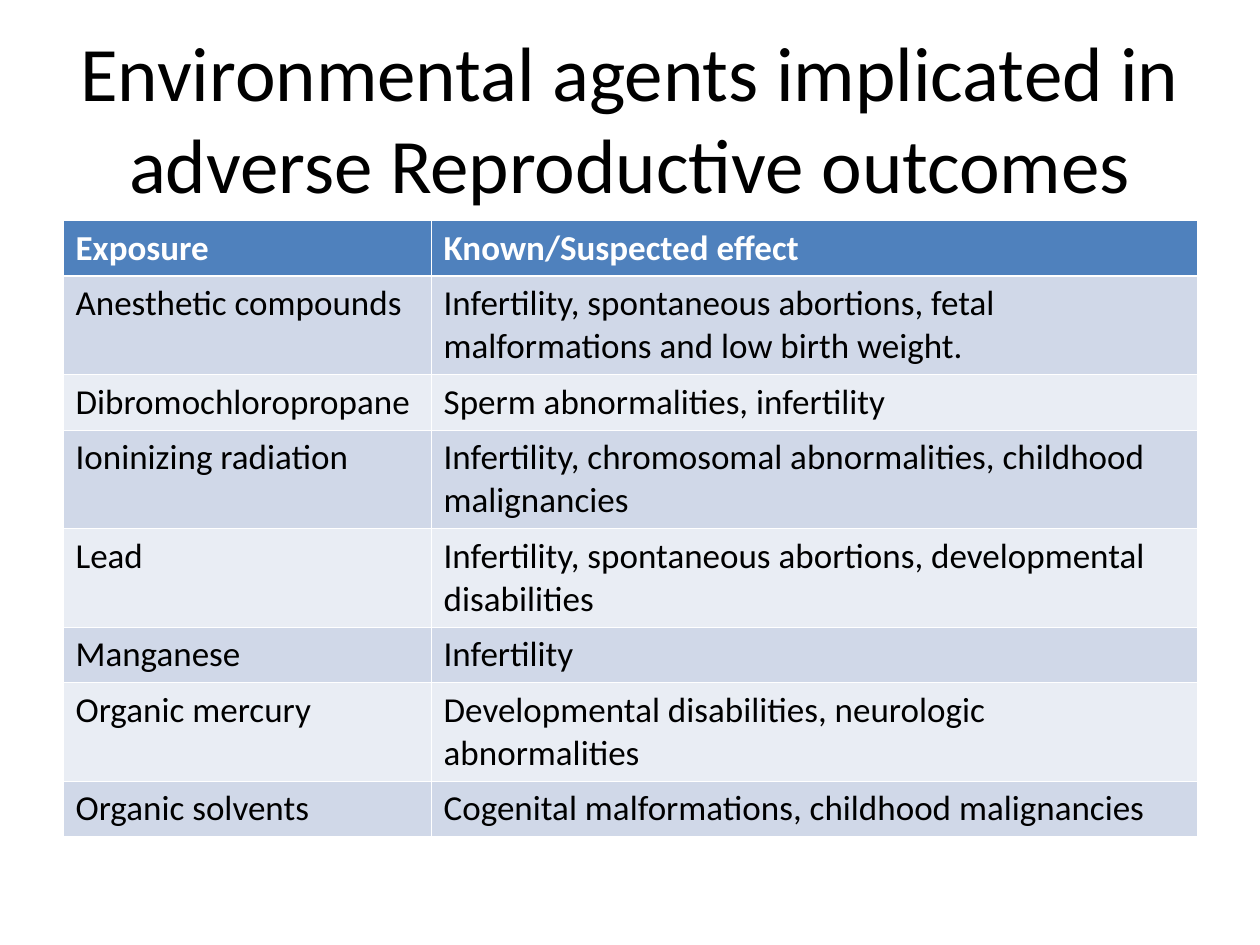
from typing import NamedTuple

from lxml.etree import SubElement
from pptx import Presentation
from pptx.dml.color import RGBColor
from pptx.enum.text import MSO_ANCHOR, MSO_AUTO_SIZE, PP_ALIGN
from pptx.oxml.ns import qn
from pptx.table import Table, _Cell
from pptx.text.text import _Paragraph
from pptx.util import Cm, Pt

FONT = "Calibri"
WHITE, BLACK = "FFFFFF", "000000"
HEADER_FILL = "4F81BD"
BAND_FILLS = ("E9EDF4", "D0D8E8")
THIN, THICK = 0.45, 1.47
LEFT, WIDTH = Cm(1.27), Cm(22.86)
COLUMN_WIDTHS = (Cm(7.42), Cm(15.44))
LINE_HEIGHTS = {1: Cm(1.12), 2: Cm(1.98)}


class Agent(NamedTuple):
    exposure: str
    effect: str
    lines: int = 1


HEADINGS = Agent("Exposure", "Known/Suspected effect")
AGENTS = (
    Agent("Anesthetic compounds",
          "Infertility, spontaneous abortions, fetal malformations and low birth weight.", 2),
    Agent("Dibromochloropropane", "Sperm abnormalities, infertility"),
    Agent("Ioninizing radiation",
          "Infertility, chromosomal abnormalities, childhood malignancies", 2),
    Agent("Lead", "Infertility, spontaneous abortions, developmental disabilities", 2),
    Agent("Manganese", "Infertility"),
    Agent("Organic mercury", "Developmental disabilities, neurologic abnormalities", 2),
    Agent("Organic solvents", "Cogenital malformations, childhood malignancies"),
)


def color(value: str) -> RGBColor:
    return RGBColor.from_string(value)


def set_font(paragraph: _Paragraph, size: float, ink: str, bold: bool = False) -> None:
    font = paragraph.font
    font.name, font.size, font.bold = FONT, Pt(size), bold
    font.color.rgb = color(ink)


def set_borders(cell: _Cell, top: float, bottom: float) -> None:
    properties = cell._tc.get_or_add_tcPr()
    for side, width in (("L", THIN), ("R", THIN), ("T", top), ("B", bottom)):
        border = SubElement(properties, qn(f"a:ln{side}"), w=str(Pt(width)))
        fill = SubElement(border, qn("a:solidFill"))
        SubElement(fill, qn("a:srgbClr"), val=WHITE)


def fill_row(table: Table, index: int, agent: Agent) -> None:
    is_header = index == 0
    table.rows[index].height = LINE_HEIGHTS[agent.lines]
    for column, wording in enumerate((agent.exposure, agent.effect)):
        cell = table.cell(index, column)
        set_borders(cell, top=THICK if index == 1 else THIN, bottom=THICK if is_header else THIN)
        cell.fill.solid()
        cell.fill.fore_color.rgb = color(HEADER_FILL if is_header else BAND_FILLS[index % 2])
        cell.text = wording
        set_font(cell.text_frame.paragraphs[0], 20, WHITE if is_header else BLACK, is_header)


def main() -> None:
    presentation = Presentation()
    presentation.slide_width, presentation.slide_height = Cm(25.4), Cm(19.05)
    slide = presentation.slides.add_slide(presentation.slide_layouts[5])

    title = slide.shapes.title
    title.left, title.top, title.width, title.height = LEFT, Cm(0.76), WIDTH, Cm(3.18)
    heading = title.text_frame
    heading.text = "Environmental agents implicated in adverse Reproductive outcomes"
    heading.word_wrap = True
    heading.auto_size = MSO_AUTO_SIZE.NONE
    heading.vertical_anchor = MSO_ANCHOR.MIDDLE
    heading.paragraphs[0].alignment = PP_ALIGN.CENTER
    set_font(heading.paragraphs[0], 44, BLACK)

    rows = (HEADINGS, *AGENTS)
    height = sum(LINE_HEIGHTS[agent.lines] for agent in rows)
    table = slide.shapes.add_table(
        len(rows), len(COLUMN_WIDTHS), LEFT, Cm(4.45), WIDTH, height).table
    for column, width in zip(table.columns, COLUMN_WIDTHS):
        column.width = width
    for index, agent in enumerate(rows):
        fill_row(table, index, agent)

    presentation.save("out.pptx")


if __name__ == "__main__":
    main()
